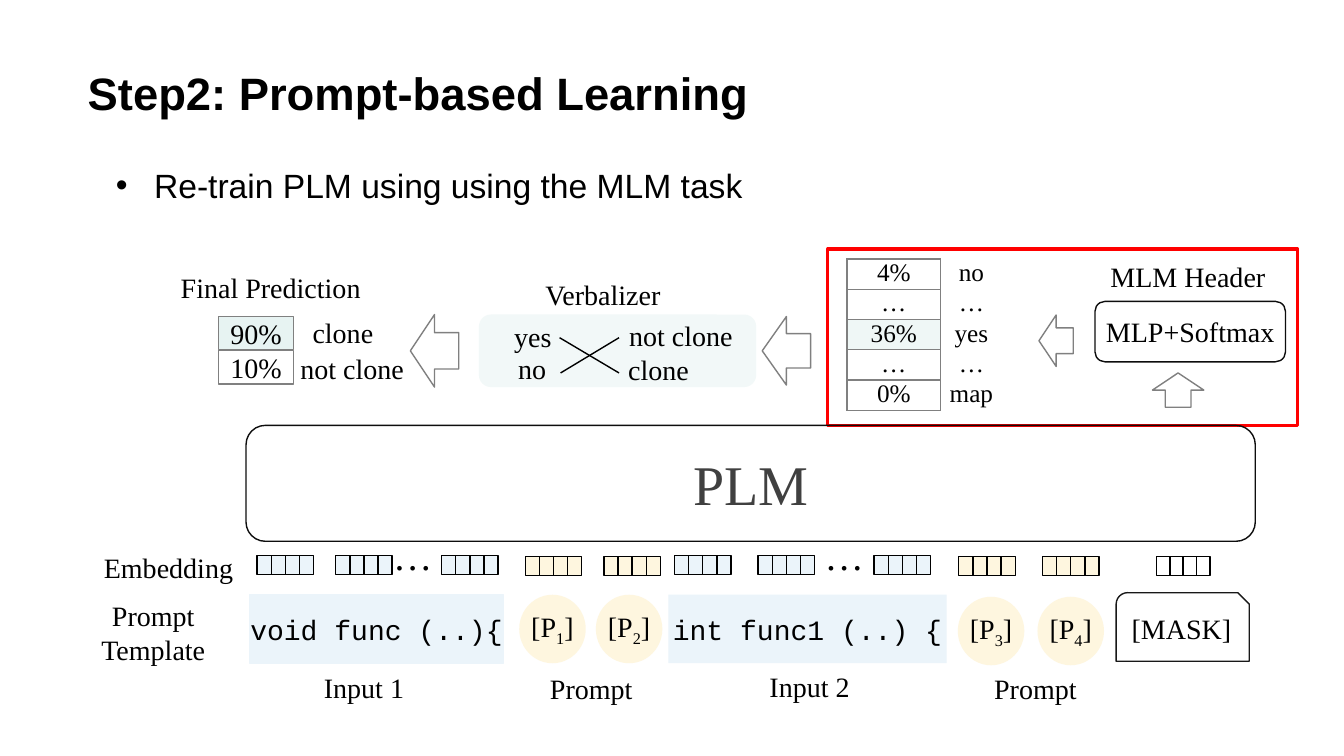
import pptx
import pptx.dml.color
import pptx.enum.shapes
import pptx.enum.text
import pptx.oxml
import pptx.oxml.ns
import pptx.util

Inches = pptx.util.Inches
Pt = pptx.util.Pt
SHAPE = pptx.enum.shapes.MSO_SHAPE
ALIGN = pptx.enum.text.PP_ALIGN
ANCHOR = pptx.enum.text.MSO_ANCHOR
qn = pptx.oxml.ns.qn

SERIF, SANS, MONO = "Times New Roman", "Arial", "Courier New"
BLACK, GRAY, RED, INK = "000000", "808080", "FF0000", "0D0D0D"
BLUE, CREAM, MINT = "EBF4FA", "FEF6DF", "E7F3F2"
NO_TABLE_STYLE = "{2D5ABB26-0587-4C30-8999-92F81FD0307C}"


def color(hex_code):
    return pptx.dml.color.RGBColor.from_string(hex_code)


def child(parent, tag, **attributes):
    element = parent.makeelement(qn(tag), attributes)
    parent.append(element)
    return element


def paint(fill, hex_code, alpha=None):
    if hex_code is None:
        fill.background()
        return
    fill.solid()
    fill.fore_color.rgb = color(hex_code)
    if alpha:
        srgb = fill._xPr.find(qn("a:solidFill")).find(qn("a:srgbClr"))
        child(srgb, "a:alpha", val=str(alpha * 1000))


def write(frame, text, size=20, font=SERIF, ink=BLACK, bold=False, align=ALIGN.CENTER,
          anchor=ANCHOR.TOP, inset=(0, 0), wrap=True, spacing=None, bullet=None):
    frame.word_wrap = wrap
    frame.auto_size = pptx.enum.text.MSO_AUTO_SIZE.NONE
    frame.vertical_anchor = anchor
    frame.margin_left = frame.margin_right = Inches(inset[0])
    frame.margin_top = frame.margin_bottom = Inches(inset[1])
    paragraph = frame.paragraphs[0]
    if bullet:
        paragraph.level = 1
        properties = paragraph._p.get_or_add_pPr()
        properties.set("marL", str(Inches(0.88)))
        properties.set("indent", str(Inches(-0.38)))
        child(properties, "a:buFont", typeface=SANS)
        child(properties, "a:buChar", char=bullet)
    paragraph.alignment = align
    if spacing:
        paragraph.line_spacing = spacing
    pieces = [text] if isinstance(text, str) else text
    for index, piece in enumerate(pieces):
        run = paragraph.add_run()
        run.text = piece
        run.font.size, run.font.name, run.font.bold = Pt(size), font, bold
        run.font.color.rgb = color(ink)
        if index % 2:
            run._r.get_or_add_rPr().set("baseline", "-25000")


class Slide:
    def __init__(self, deck):
        self.slide = deck.slides.add_slide(deck.slide_layouts[5])
        self.shapes = self.slide.shapes

    def title(self, text, box, **style):
        heading = self.shapes.title
        heading.left, heading.top, heading.width, heading.height = map(Inches, box)
        write(heading.text_frame, text, **style)

    def text(self, text, box, **style):
        write(self.shapes.add_textbox(*map(Inches, box)).text_frame, text, **style)

    def shape(self, kind, box, fill=None, line=None, weight=1, alpha=None, turn=0,
              text=None, **style):
        figure = self.shapes.add_shape(kind, *map(Inches, box))
        figure.shadow.inherit = False
        figure.rotation = turn
        paint(figure.fill, fill, alpha)
        paint(figure.line.fill, line)
        if line:
            figure.line.width = Pt(weight)
        if text:
            write(figure.text_frame, text, anchor=ANCHOR.MIDDLE, **style)

    def line(self, x1, y1, x2, y2):
        stroke = self.shapes.add_connector(
            pptx.enum.shapes.MSO_CONNECTOR.STRAIGHT, *map(Inches, (x1, y1, x2, y2)))
        stroke.line.width = Pt(1)
        stroke.line.color.rgb = color(BLACK)
        child(stroke._element.spPr, "a:effectLst")

    def arrow(self, box, turn=270):
        self.shape(SHAPE.UP_ARROW, box, line=GRAY, turn=turn)

    def vector(self, left, top, fill, width=0.56, height=0.19):
        self.shape(SHAPE.RECTANGLE, (left, top, width, height), fill, BLACK)
        for quarter in (1, 2, 3):
            x = left + width * quarter / 4
            self.line(x, top, x, top + height)

    def column(self, words, left, top, width, row_height, border=None, marked=None):
        table = self.shapes.add_table(
            len(words), 1, Inches(left), Inches(top), Inches(width),
            Inches(row_height * len(words))).table
        table.first_row = table.horz_banding = False
        table._tbl.tblPr.find(qn("a:tableStyleId")).text = NO_TABLE_STYLE
        for index, word in enumerate(words):
            cell = table.cell(index, 0)
            write(cell.text_frame, word, size=18)
            cell.margin_left = cell.margin_right = 0
            cell.margin_top = cell.margin_bottom = 0
            properties = cell._tc.get_or_add_tcPr()
            if border:
                for side in ("a:lnL", "a:lnR", "a:lnT", "a:lnB"):
                    edge = child(properties, side, w=str(Pt(1)))
                    child(child(edge, "a:solidFill"), "a:srgbClr", val=border)
            paint(cell.fill, "CEE7E4" if index == marked else None, 31)


def main():
    deck = pptx.Presentation()
    deck.slide_width, deck.slide_height = Inches(13.33), Inches(7.5)
    page = Slide(deck)
    padded = (0.1, 0.05)
    left = ALIGN.LEFT

    page.title("Step2: Prompt-based Learning", (0.77, 0.48, 6.97, 0.76), size=32.4, font=SANS,
               bold=True, align=left, anchor=ANCHOR.BOTTOM, inset=padded, spacing=1.5)
    page.text("Re-train PLM using using the MLM task", (0.55, 1.39, 9.53, 0.63), size=24,
              font=SANS, align=left, inset=padded, spacing=1.5, bullet="•")

    page.shape(SHAPE.RECTANGLE, (8.21, 2.47, 4.66, 1.75), line=RED, weight=2.25)
    page.arrow((10.22, 3.21, 0.51, 0.34))
    page.column(["4%", "…", "36%", "…", "0%"], 8.4, 2.57, 0.93, 0.3, GRAY, marked=2)
    page.column(["no", "…", "yes", "…", "map"], 9.28, 2.57, 0.71, 0.3)
    page.arrow((11.43, 3.7, 0.51, 0.34), turn=0)
    page.shape(SHAPE.ROUNDED_RECTANGLE, (10.86, 2.99, 1.89, 0.6), line=INK, text="MLP+Softmax")
    page.text("MLM Header", (10.49, 2.53, 2.16, 0.44), align=ALIGN.RIGHT, inset=padded)

    page.shape(SHAPE.ROUNDED_RECTANGLE, (4.75, 3.12, 2.75, 0.72), MINT, alpha=53)
    page.text("Final Prediction", (1.39, 2.58, 2.59, 0.55), anchor=ANCHOR.MIDDLE)
    page.text("Verbalizer", (5.12, 2.7, 1.72, 0.45), inset=padded)
    for share, top, fill in (("90%", 3.14, MINT), ("10%", 3.48, None)):
        page.shape(SHAPE.RECTANGLE, (2.17, top, 0.74, 0.33), fill, GRAY, text=share)
    for answer, x, y, width in (
            ("clone", 3.1, 3.13, 0.77), ("not clone", 2.98, 3.49, 1.4),
            ("yes", 5.1, 3.17, 0.5), ("not clone", 6.24, 3.16, 1.27),
            ("no", 5.14, 3.49, 0.46), ("clone", 6.23, 3.5, 0.89)):
        page.text(answer, (x, y, width, 0.33), align=left)
    page.arrow((3.95, 3.24, 0.72, 0.48))
    page.arrow((7.46, 3.24, 0.68, 0.48))
    page.line(5.55, 3.35, 6.14, 3.7)
    page.line(5.56, 3.7, 6.14, 3.35)

    page.shape(SHAPE.ROUNDED_RECTANGLE, (2.44, 4.22, 10.01, 1.15), line=INK, text="PLM",
               size=40, ink="404040", inset=padded)
    for x in (3.8, 8.08):
        page.text("…", (x, 5.22, 0.31, 0.68), size=28, align=left, inset=padded)
    for code, x, width, line in (("void func (..){", 2.48, 2.51, BLUE),
                                 ("int func1 (..) {", 6.63, 2.76, None)):
        page.shape(SHAPE.RECTANGLE, (x, 5.9, width, 0.68), BLUE, line, text=code,
                   font=MONO, inset=(0, 0.05), wrap=False)
    page.shape(SHAPE.SNIP_ROUND_RECTANGLE, (11.07, 5.88, 1.32, 0.68), line="181818",
               text="[MASK]")
    for number, (x, y) in enumerate(((5.15, 5.9), (5.91, 5.9), (9.5, 5.92), (10.29, 5.92)), 1):
        page.shape(SHAPE.OVAL, (x, y, 0.66, 0.68), CREAM, text=("[P", str(number), "]"))
    for caption, x, y, width in (("Input 1", 2.94, 6.6, 1.34), ("Prompt", 5.15, 6.61, 1.43),
                                 ("Input 2", 7.36, 6.59, 1.34), ("Prompt", 9.5, 6.61, 1.54)):
        page.text(caption, (x, y, width, 0.52), inset=padded)

    for x in (2.55, 3.33, 4.38, 6.69, 7.52, 8.67):
        page.vector(x, 5.51, BLUE)
    for x in (5.21, 5.99, 9.51, 10.34):
        page.vector(x, 5.52, CREAM)
    page.vector(11.47, 5.52, None, width=0.53)
    page.text("Embedding", (1.03, 5.46, 1.6, 0.4), align=left)
    page.text("Prompt Template", (0.73, 5.94, 1.58, 0.8))

    deck.save("out.pptx")


if __name__ == "__main__":
    main()
